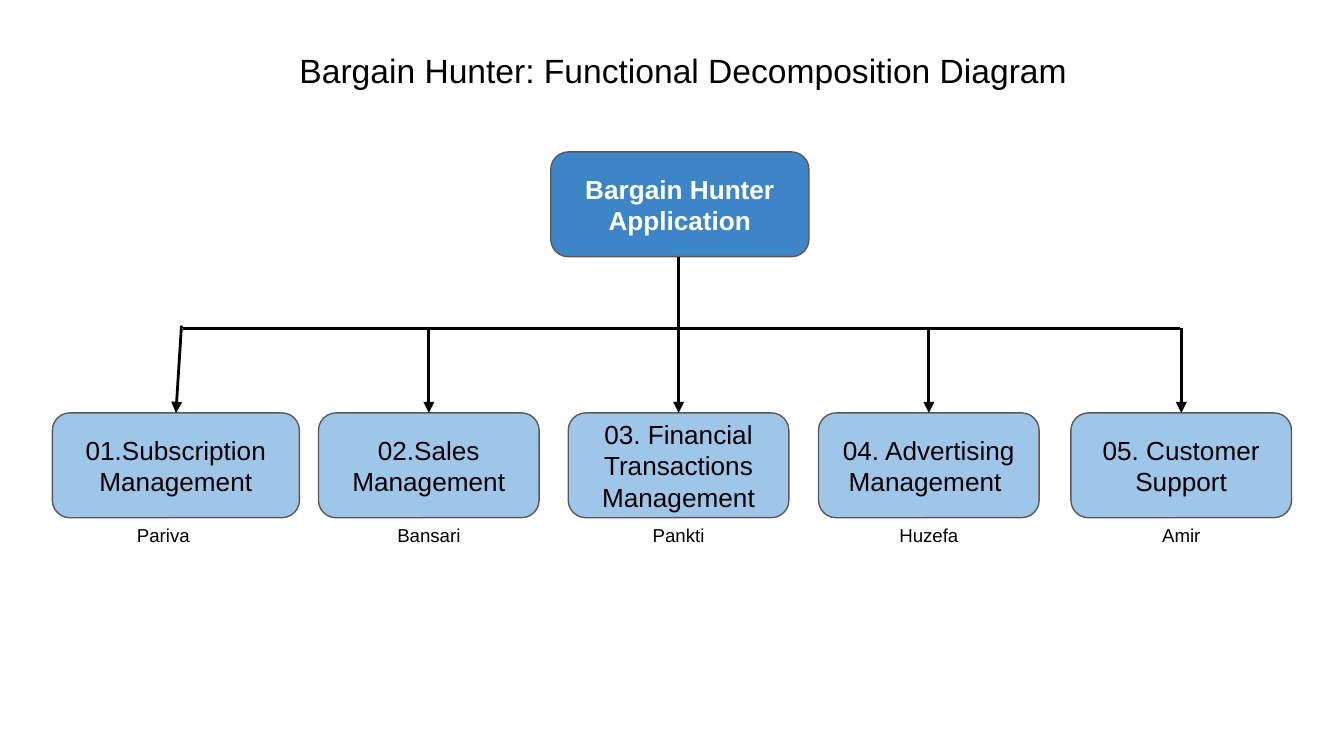
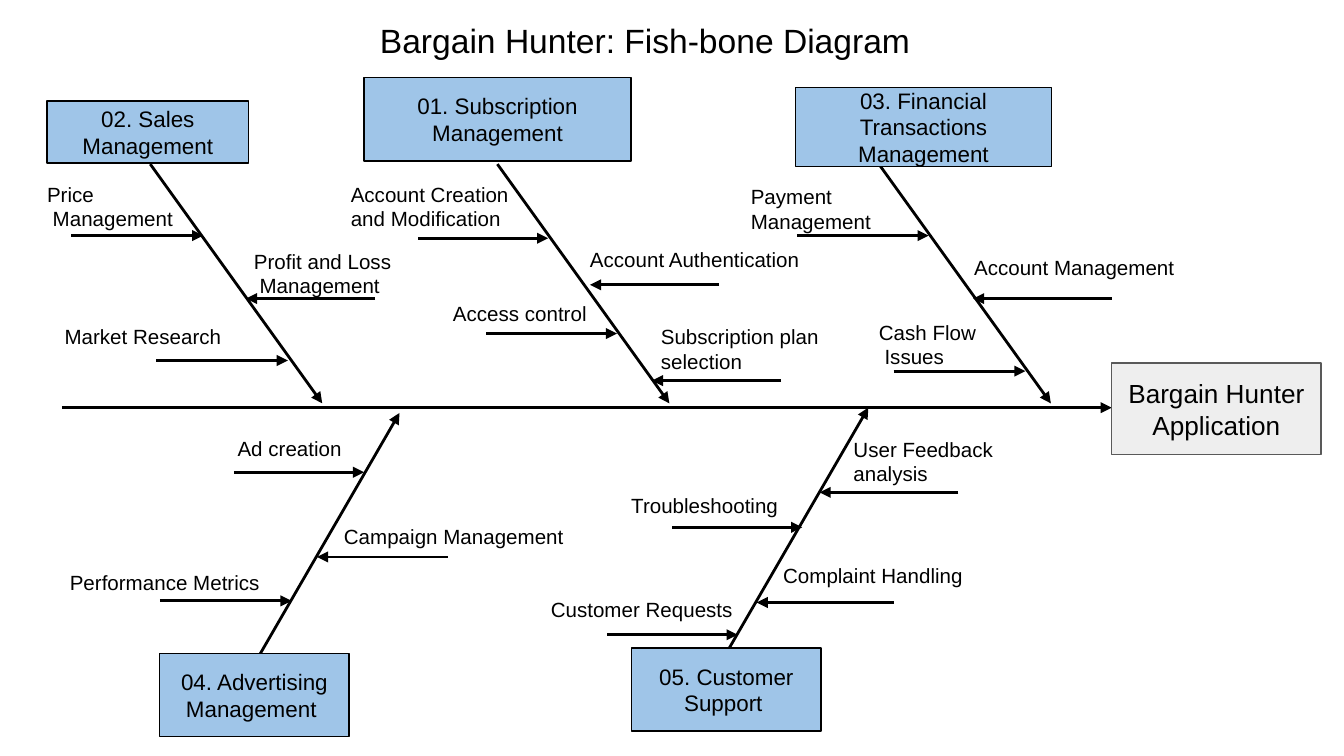
"""Build two slides: a functional decomposition tree and a fish-bone chart."""
from lxml.etree import SubElement
from pptx import Presentation
from pptx.dml.color import RGBColor
from pptx.enum.shapes import MSO_CONNECTOR, MSO_SHAPE
from pptx.enum.text import MSO_ANCHOR, MSO_AUTO_SIZE, PP_ALIGN
from pptx.oxml.ns import qn
from pptx.util import Cm, Pt

HUES = {"black": "000000", "white": "FFFFFF", "root": "3D85C6",
        "node": "9FC5E8", "head": "EEEEEE", "edge": "595959"}
FONT = "Arial"

UNITS = [
    ("01.Subscription Management", "Pariva", 0.99, 4.67),
    ("02.Sales Management", "Bansari", 6.02, 4.17),
    ("03. Financial Transactions Management", "Pankti", 10.74, 4.17),
    ("04. Advertising Management ", "Huzefa", 15.47, 4.17),
    ("05. Customer Support", "Amir", 20.24, 4.17),
]

UP, DOWN = (3.25, 4.52), (2.72, -4.7)

# Bone: label, box, start, run, ribs. Rib: label, left, top, width, tail, tip, height.
BONES = [
    ("02. Sales Management", (0.89, 1.91, 3.81, 1.17), (2.84, 3.1), UP, [
        ("Price\n Management", 0.64, 3.18, 4.09, 1.35, 3.84, 4.45),
        ("Profit and Loss\n Management", 4.55, 4.45, 4.19, 7.09, 4.65, 5.64),
        ("Market Research", 0.97, 5.87, 4.42, 2.95, 5.44, 6.81)]),
    ("01. Subscription Management", (6.88, 1.47, 5.05, 1.57), (9.4, 3.1), UP, [
        ("Account Creation\nand Modification", 6.38, 3.18, 5.33, 7.9, 10.36, 4.5),
        ("Account Authentication", 10.9, 4.42, 4.5, 13.59, 11.15, 5.38),
        ("Access control", 8.31, 5.44, 4.72, 9.19, 11.66, 6.3),
        ("Subscription plan selection", 12.24, 5.87, 4.19, 14.76, 12.32, 7.19)]),
    ("03. Financial Transactions Management", (15.04, 1.65, 4.83, 1.5), (16.61, 3.1), UP, [
        ("Payment\nManagement", 13.94, 3.23, 4.5, 15.06, 17.55, 4.45),
        ("Account Management", 18.16, 4.57, 5.21, 21.01, 18.39, 5.64),
        ("Cash Flow\n Issues", 16.36, 5.79, 4.5, 16.89, 19.38, 7.01)]),
    ("04. Advertising Management ", (3.02, 12.34, 3.58, 1.57), (4.83, 12.5), DOWN, [
        ("Ad creation", 4.24, 7.98, 3.25, 4.42, 6.88, 8.92),
        ("Campaign Management", 6.25, 9.65, 5.13, 8.46, 5.99, 10.52),
        ("Performance Metrics", 1.07, 10.52, 5, 3.02, 5.51, 11.35)]),
    ("05. Customer Support ", (11.94, 12.24, 3.58, 1.57), (13.69, 12.4), DOWN, [
        ("User Feedback\nanalysis", 15.88, 8, 5.13, 18.11, 15.49, 9.3),
        ("Troubleshooting", 11.68, 9.07, 4.5, 12.7, 15.16, 9.96),
        ("Complaint Handling", 14.55, 10.39, 4.5, 16.89, 14.3, 11.38),
        ("Customer Requests", 10.16, 11.02, 4.5, 11.48, 13.94, 11.99)]),
]


def tint(name):
    return RGBColor.from_string(HUES[name])


def put(frame, text, size=14, hue="black", bold=False, align=PP_ALIGN.LEFT,
        anchor=MSO_ANCHOR.TOP, wrap=True, pad=0.25):
    frame.auto_size = MSO_AUTO_SIZE.NONE
    frame.word_wrap = wrap
    frame.vertical_anchor = anchor
    frame.margin_left = frame.margin_right = Cm(0.25)
    frame.margin_top = frame.margin_bottom = Cm(pad)
    frame.text = text
    for para in frame.paragraphs:
        para.alignment = align
        font = para.runs[0].font
        font.name, font.size, font.bold = FONT, Pt(size), bold
        font.color.rgb = tint(hue)


class Deck:
    def __init__(self):
        self.show = Presentation()
        self.show.slide_width, self.show.slide_height = Cm(25.4), Cm(14.28)
        self.slide = None

    def page(self, title, left, top, width):
        self.slide = self.show.slides.add_slide(self.show.slide_layouts[5])
        head = self.slide.shapes.title
        head.left, head.top, head.width, head.height = map(Cm, (left, top, width, 1.02))
        put(head.text_frame, title, size=18, wrap=False, pad=0.13)

    def box(self, text, area, fill="node", edge="black", kind=MSO_SHAPE.RECTANGLE, **style):
        shape = self.slide.shapes.add_shape(kind, *map(Cm, area))
        shape.shadow.inherit = False
        shape.fill.solid()
        shape.fill.fore_color.rgb = tint(fill)
        shape.line.color.rgb = tint(edge)
        shape.line.width = Pt(0.75)
        put(shape.text_frame, text, align=PP_ALIGN.CENTER, anchor=MSO_ANCHOR.MIDDLE, **style)

    def note(self, text, area, **style):
        put(self.slide.shapes.add_textbox(*map(Cm, area)).text_frame, text, **style)

    def line(self, start, end, arrow=True):
        link = self.slide.shapes.add_connector(MSO_CONNECTOR.STRAIGHT, *map(Cm, start + end))
        link.line.color.rgb = tint("black")
        link.line.width = Pt(1.5)
        if arrow:
            SubElement(link.line._get_or_add_ln(), qn("a:tailEnd"), type="triangle")
        SubElement(link._element.spPr, qn("a:effectLst"))


def draw_tree(deck):
    deck.page("Bargain Hunter: Functional Decomposition Diagram", 5.41, 0.81, 15.16)
    card = {"edge": "edge", "kind": MSO_SHAPE.ROUNDED_RECTANGLE}
    deck.box("Bargain Hunter\nApplication", (10.41, 2.87, 4.88, 1.98),
             fill="root", hue="white", bold=True, **card)
    top, bus = 7.8, 6.2
    for rank, (label, owner, left, width) in enumerate(UNITS):
        mid = left + width / 2
        deck.box(label, (left, top, width, 1.98), **card)
        start = {0: (3.43, 6.15), 2: (mid, 4.85)}.get(rank, (mid, bus))
        deck.line(start, (mid, top))
        if rank:
            deck.note(owner, (mid - 1.74, 9.65, 3.48, 0.81), size=10, align=PP_ALIGN.CENTER)
        else:
            deck.note(owner, (2.34, 9.65, 3.86, 0.81), size=10)
    deck.line((3.45, bus), (22.3, bus), arrow=False)


def draw_fish(deck):
    deck.page("Bargain Hunter: Fish-bone Diagram", 6.93, 0.25, 10.62)
    deck.line((1.17, 7.7), (21.01, 7.7))
    deck.box("Bargain Hunter\nApplication", (21.01, 6.86, 3.96, 1.73), fill="head", edge="edge")
    for label, area, (x, y), (run, rise), ribs in BONES:
        deck.line((x, y), (x + run, y + rise))
        deck.box(label, area, size=12)
        for text, left, top, width, tail, tip, level in ribs:
            deck.note(text, (left, top, width, 1.22), size=11)
            deck.line((tail, level), (tip, level))


def main():
    deck = Deck()
    draw_tree(deck)
    draw_fish(deck)
    deck.show.save("out.pptx")


if __name__ == "__main__":
    main()
